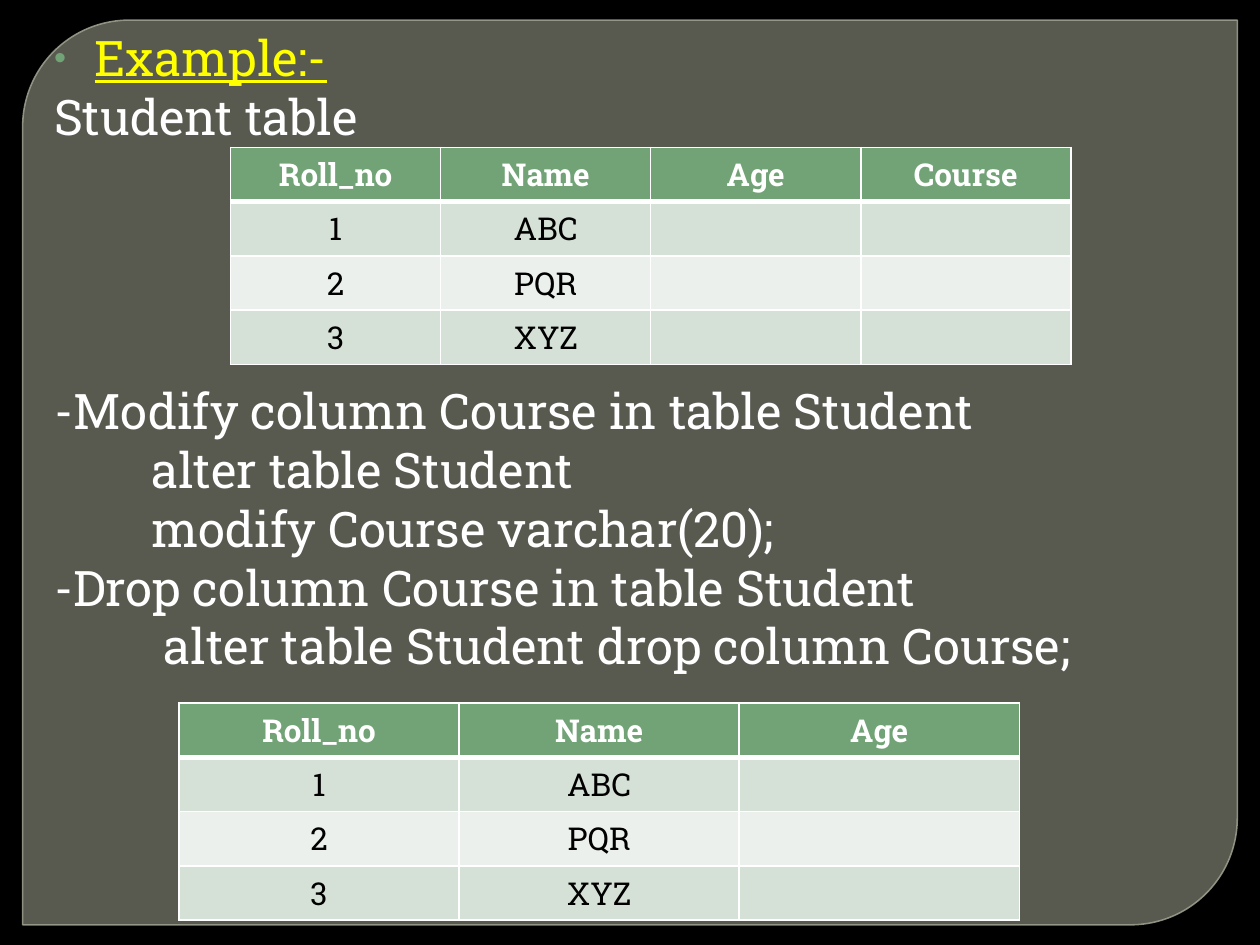
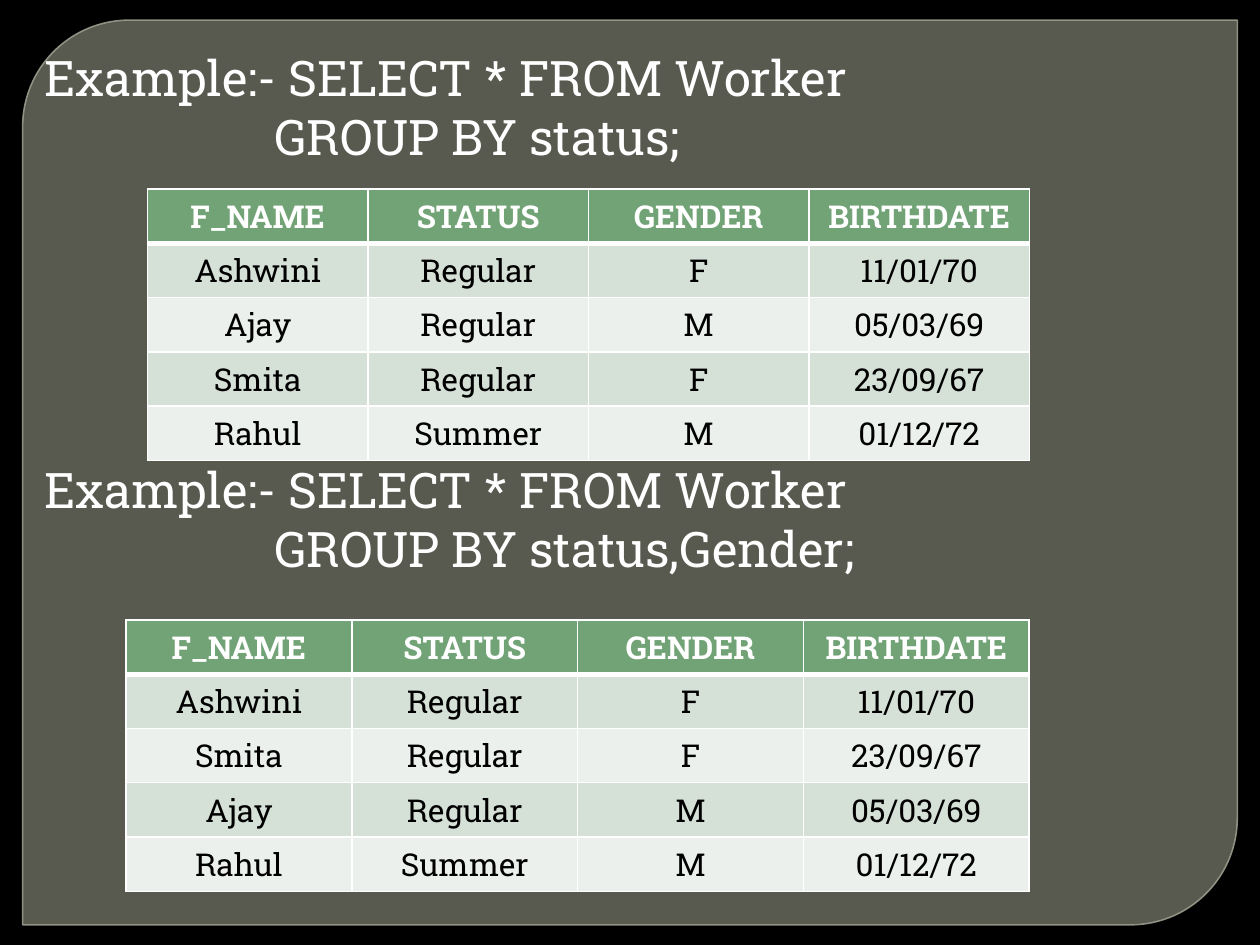
"""Builds two slides of SQL examples with student and worker tables."""
from dataclasses import dataclass

from lxml import etree
from pptx import Presentation
from pptx.dml.color import RGBColor
from pptx.enum.shapes import MSO_SHAPE
from pptx.enum.text import MSO_ANCHOR, MSO_AUTO_SIZE, PP_ALIGN
from pptx.oxml import parse_xml
from pptx.oxml.ns import nsdecls, qn
from pptx.util import Inches, Pt

PANEL = MSO_SHAPE.ROUND_2_DIAG_RECTANGLE
TOP = MSO_ANCHOR.TOP
FIXED = MSO_AUTO_SIZE.NONE
LEFT, CENTER = PP_ALIGN.LEFT, PP_ALIGN.CENTER


@dataclass(frozen=True)
class Theme:
    font: str = "Roboto Slab"
    back: str = "000000"
    panel: str = "888B7B"
    edge: str = "9DA090"
    white: str = "FFFFFF"
    black: str = "000000"
    mark: str = "FFFF00"
    head: str = "72A376"
    bands: tuple = ("D5E0D6", "EBF0EC")
    body: int = 28
    cell: int = 18
    pitch: float = 33.6
    lead: float = 1.0
    hang: float = 0.32


THEME = Theme()

PUPILS = [("1", "ABC"), ("2", "PQR"), ("3", "XYZ")]
FIELDS = ["Roll_no", "Name", "Age", "Course"]

STAFF = ["F_NAME", "STATUS", "GENDER", "BIRTHDATE"]
ASHA = ("Ashwini", "Regular", "F", "11/01/70")
AJAY = ("Ajay", "Regular", "M", "05/03/69")
SMITA = ("Smita", "Regular", "F", "23/09/67")
RAHUL = ("Rahul", "Summer", "M", "01/12/72")
QUERY = "Example:- SELECT * FROM Worker"

SLIDES = [
    {
        "box": (0.33, 0.17, 9.33, 7),
        "lines": [
            {"text": "Example:-", "mark": True},
            {"text": "Student table"},
            {"text": "-Modify column Course in table Student", "skip": 4},
            {"text": "alter table Student", "tab": 0.77},
            {"text": "modify Course varchar(20);", "tab": 0.77},
            {"text": "-Drop column Course in table Student"},
            {"text": "alter table Student drop column Course;", "tab": 0.87},
        ],
        "tables": [
            {"box": (1.83, 1.17, 6.67, 1.6), "head": FIELDS, "rows": PUPILS},
            {"box": (1.42, 5.58, 6.67, 1.6), "head": FIELDS[:3], "rows": PUPILS},
        ],
    },
    {
        "box": (0.25, 0.33, 9.75, 7.42),
        "lines": [
            {"text": QUERY},
            {"text": "GROUP BY status;", "tab": 1.83},
            {"text": QUERY, "skip": 5},
            {"text": "GROUP BY status,Gender;", "tab": 1.83},
        ],
        "tables": [
            {"box": (1.17, 1.5, 7, 2.03), "head": STAFF,
             "rows": [ASHA, AJAY, SMITA, RAHUL]},
            {"box": (1, 4.92, 7.17, 2.03), "head": STAFF,
             "rows": [ASHA, SMITA, AJAY, RAHUL]},
        ],
    },
]


def rgb(code):
    return RGBColor.from_string(code)


def paint(fill, code):
    fill.solid()
    fill.fore_color.rgb = rgb(code)


def fade(node, share):
    color = node.find(f".//{qn('a:srgbClr')}")
    etree.SubElement(color, qn("a:alpha")).set("val", str(share * 1000))


def add_run(para, text, size, code, bold=False, under=False):
    run = para.add_run()
    run.text = text
    font = run.font
    font.name, font.size, font.bold = THEME.font, Pt(size), bold
    font.underline = under
    font.color.rgb = rgb(code)


def set_master(prs, slide):
    master = prs.slide_master
    paint(master.background.fill, THEME.back)
    panel = slide.shapes.add_shape(
        PANEL, Inches(0.18), Inches(0.16), Inches(9.64), Inches(7.18))
    panel.adjustments[0], panel.adjustments[1] = 0.118, 0
    panel.shadow.inherit = False
    paint(panel.fill, THEME.panel)
    paint(panel.line.fill, THEME.edge)
    panel.line.width = Pt(0.87)
    props = panel.element.spPr
    fade(props.find(qn("a:solidFill")), 65)
    fade(props.find(qn("a:ln")), 88)
    panel.element.nvSpPr.cNvPr.set("id", "20")
    master.shapes.element.insert(2, panel.element)


def set_bullet(props, shown):
    if not shown:
        etree.SubElement(props, qn("a:buNone"))
        return
    color = etree.SubElement(props, qn("a:buClr"))
    etree.SubElement(color, qn("a:srgbClr")).set("val", THEME.head)
    etree.SubElement(props, qn("a:buSzPct")).set("val", "70000")
    etree.SubElement(props, qn("a:buFont")).set("typeface", "Arial")
    etree.SubElement(props, qn("a:buChar")).set("char", "•")


def fill_body(slide, box, lines):
    body = slide.placeholders[1]
    body.left, body.top, body.width, body.height = map(Inches, box)
    frame = body.text_frame
    frame.word_wrap, frame.auto_size = True, FIXED
    frame.vertical_anchor = TOP
    frame.margin_left = frame.margin_right = Inches(0.1)
    frame.margin_top = Inches(0.05)
    for num, line in enumerate(lines):
        para = frame.add_paragraph() if num else frame.paragraphs[0]
        para.alignment = LEFT
        para.line_spacing = THEME.lead
        para.space_before = Pt(THEME.pitch * line.get("skip", 0))
        para.space_after = Pt(0)
        mark = line.get("mark", False)
        props = para._p.get_or_add_pPr()
        props.set("marL", str(Inches(THEME.hang + line.get("tab", 0))))
        props.set("indent", str(-Inches(THEME.hang)))
        set_bullet(props, mark)
        code = THEME.mark if mark else THEME.white
        add_run(para, line["text"], THEME.body, code, under=mark)


def set_edges(cell, row):
    widths = {"L": 1, "R": 1, "T": 3 if row == 1 else 1, "B": 1 if row else 3}
    props = cell._tc.get_or_add_tcPr()
    for side, width in widths.items():
        props.append(parse_xml(
            f'<a:ln{side} {nsdecls("a")} w="{Pt(width)}"><a:solidFill>'
            f'<a:srgbClr val="{THEME.white}"/></a:solidFill></a:ln{side}>'))


def add_grid(slide, box, head, rows):
    data = [head, *rows]
    wide, high = len(head), len(data)
    grid = slide.shapes.add_table(high, wide, *map(Inches, box)).table
    for col in grid.columns:
        col.width = Inches(box[2] / wide)
    for row, texts in enumerate(data):
        grid.rows[row].height = Inches(box[3] / high)
        for col in range(wide):
            cell = grid.cell(row, col)
            set_edges(cell, row)
            paint(cell.fill, THEME.bands[(row - 1) % 2] if row else THEME.head)
            if col < len(texts):
                para = cell.text_frame.paragraphs[0]
                para.alignment = CENTER
                code = THEME.black if row else THEME.white
                add_run(para, texts[col], THEME.cell, code, bold=not row)


def main():
    prs = Presentation()
    prs.slide_width, prs.slide_height = Inches(10), Inches(7.5)
    for num, plan in enumerate(SLIDES):
        slide = prs.slides.add_slide(prs.slide_layouts[1])
        title = slide.shapes.title.element
        title.getparent().remove(title)
        if not num:
            set_master(prs, slide)
        fill_body(slide, plan["box"], plan["lines"])
        for table in plan["tables"]:
            add_grid(slide, **table)
    prs.save("out.pptx")


main()
